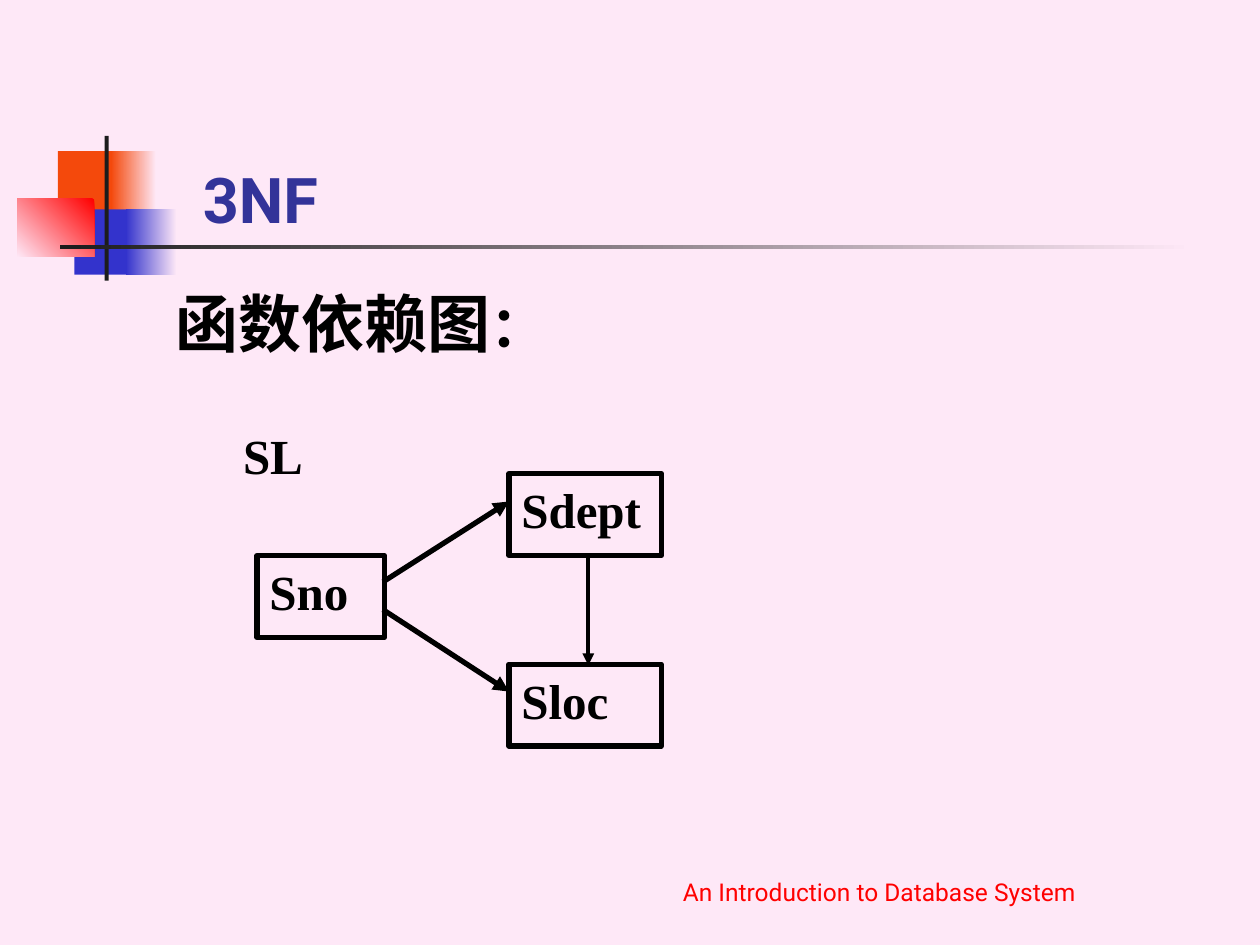
import pptx
import pptx.util
import pptx.dml.color
import pptx.enum.shapes
import pptx.enum.text
import pptx.oxml.ns
import lxml.etree

Cm = pptx.util.Cm
Pt = pptx.util.Pt
Align = pptx.enum.text.PP_ALIGN
Anchor = pptx.enum.text.MSO_ANCHOR

COLORS = {
    "back": "FEE8F7",
    "orange": "F4490C",
    "blue": "3333CC",
    "red": "FF0000",
    "dark": "1C1C1C",
    "title": "333399",
    "black": "000000",
}


def tint(name):
    return pptx.dml.color.RGBColor.from_string(COLORS[name])


def write(frame, text, size=28, font="Times New Roman", color="black",
          bold=True, align=Align.LEFT, before=0):
    para = frame.paragraphs[0]
    para.alignment = align
    para.space_before = Pt(before)
    run = para.add_run()
    run.text = text
    run.font.size = Pt(size)
    run.font.name = font
    run.font.bold = bold
    run.font.color.rgb = tint(color)


class Deck:
    sans = "Roboto"
    thick = 3

    def __init__(self):
        self.file = pptx.Presentation()
        self.file.slide_width = Cm(25.4)
        self.file.slide_height = Cm(19.05)
        self.slide = self.file.slides.add_slide(self.file.slide_layouts[6])
        fill = self.slide.background.fill
        fill.solid()
        fill.fore_color.rgb = tint("back")

    def rect(self, *area):
        kind = pptx.enum.shapes.MSO_SHAPE.RECTANGLE
        shape = self.slide.shapes.add_shape(kind, *map(Cm, area))
        shape.shadow.inherit = False
        return shape

    def block(self, *area, color):
        shape = self.rect(*area)
        shape.line.fill.background()
        shape.fill.solid()
        shape.fill.fore_color.rgb = tint(color)

    def fade(self, *area, colors, angle=180):
        shape = self.rect(*area)
        shape.line.fill.background()
        shape.fill.gradient()
        shape.fill.gradient_angle = angle
        for stop, name in zip(shape.fill.gradient_stops, colors):
            stop.color.rgb = tint(name)

    def node(self, *area, text):
        shape = self.rect(*area)
        shape.fill.background()
        shape.line.color.rgb = tint("black")
        shape.line.width = Pt(self.thick)
        shape.text_frame.word_wrap = True
        shape.text_frame.vertical_anchor = Anchor.TOP
        write(shape.text_frame, text)

    def label(self, *area, anchor=Anchor.TOP):
        frame = self.slide.shapes.add_textbox(*map(Cm, area)).text_frame
        frame.word_wrap = True
        frame.vertical_anchor = anchor
        return frame

    def arrow(self, *ends, width=thick):
        kind = pptx.enum.shapes.MSO_CONNECTOR.STRAIGHT
        link = self.slide.shapes.add_connector(kind, *map(Cm, ends))
        link.line.color.rgb = tint("black")
        link.line.width = Pt(width)
        qn = pptx.oxml.ns.qn
        tail = lxml.etree.SubElement(link.line._get_or_add_ln(), qn("a:tailEnd"))
        tail.set("type", "triangle")
        lxml.etree.SubElement(link._element.spPr, qn("a:effectLst"))


def main():
    deck = Deck()

    deck.block(1.17, 3.05, 1.22, 1.32, color="orange")
    deck.fade(2.24, 3.05, 0.91, 1.32, colors=("back", "orange"))
    deck.block(1.5, 4.22, 1.17, 1.32, color="blue")
    deck.fade(2.54, 4.22, 1.02, 1.32, colors=("back", "blue"))
    deck.fade(0.35, 4.01, 1.55, 1.17, colors=("red", "back"), angle=225)
    deck.block(2.11, 2.74, 0.08, 2.92, color="dark")
    deck.fade(1.22, 4.94, 22.86, 0.09, colors=("back", "dark"))

    title = deck.label(3.84, 1.7, 21, 3.18, anchor=Anchor.BOTTOM)
    write(title, "3NF", size=36, font=deck.sans, color="title")

    body = deck.label(3.28, 5.61, 21.59, 11.43)
    write(body, "函数依赖图", size=36, font=deck.sans, before=8)
    write(body, "：", size=32, font=deck.sans, before=8)

    write(deck.label(4.65, 8.46, 3.07, 1.65), "SL")

    deck.node(5.18, 11.2, 2.57, 1.65, text="Sno")
    for top, text in ((9.55, "Sdept"), (13.39, "Sloc")):
        deck.node(10.26, top, 3.07, 1.65, text=text)

    for start, end in ((11.73, 10.11), (12.29, 13.94)):
        deck.arrow(7.72, start, 10.26, end)
    deck.arrow(11.86, 11.23, 11.86, 13.41, width=2.25)

    foot = deck.label(11.1, 17.12, 13.26, 1.27, anchor=Anchor.BOTTOM)
    write(foot, "An Introduction to Database System", size=14, font=deck.sans,
          color="red", bold=False, align=Align.CENTER)

    deck.file.save("out.pptx")


if __name__ == "__main__":
    main()
